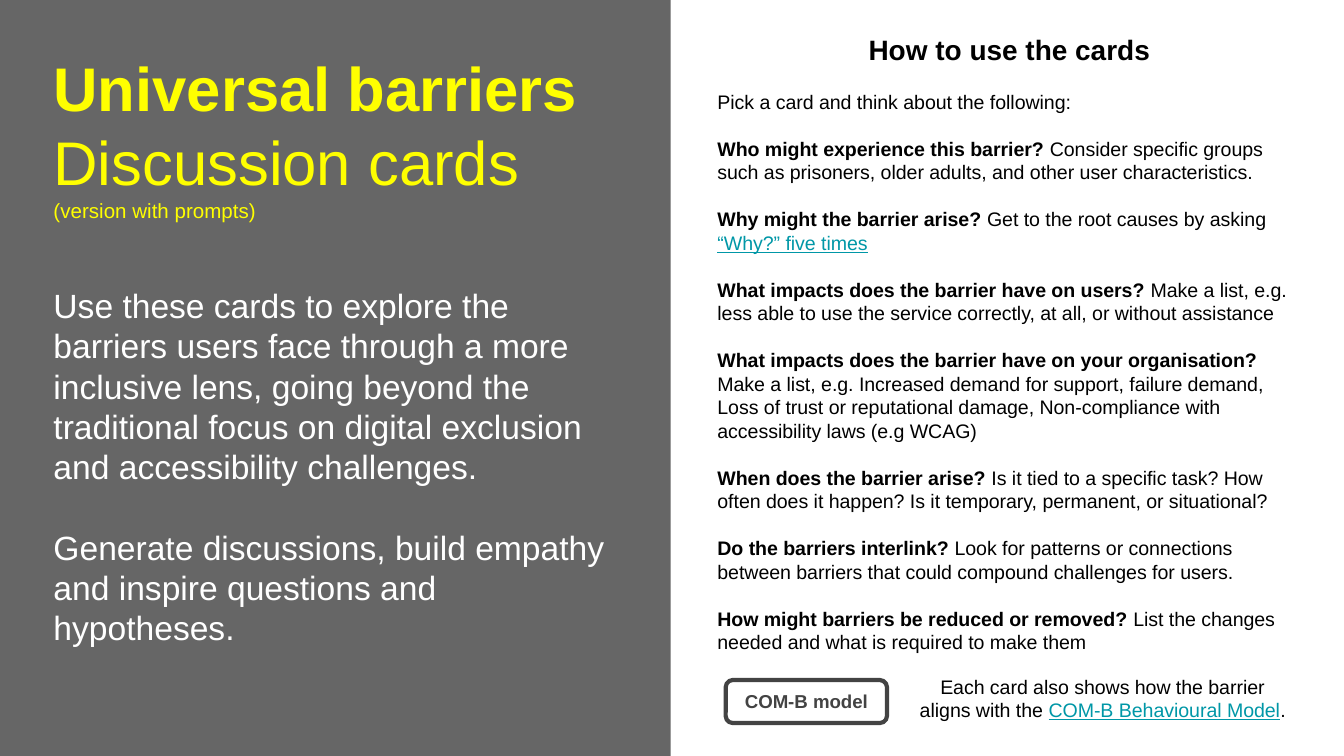
from typing import NamedTuple

from pptx import Presentation
from pptx.dml.color import RGBColor
from pptx.enum.shapes import MSO_SHAPE as Preset
from pptx.enum.text import MSO_ANCHOR as Anchor, PP_ALIGN as Align
from pptx.util import Inches, Pt

BLACK = RGBColor(0x00, 0x00, 0x00)
WHITE = RGBColor(0xFF, 0xFF, 0xFF)
YELLOW = RGBColor(0xFF, 0xFF, 0x00)
PANEL_GREY = RGBColor(0x66, 0x66, 0x66)
BADGE_GREY = RGBColor(0x43, 0x43, 0x43)
LINK_TEAL = RGBColor(0x00, 0x97, 0xA7)

SLIDE_WIDTH = 10
SLIDE_HEIGHT = SLIDE_WIDTH * 9 / 16
FONT = "Arial"
BODY_SIZE = 10.5
BODY_GAP = 12.6
INTRO_SIZE = 18
INTRO_GAP = 21.5


class Box(NamedTuple):
    left: float
    top: float
    width: float
    height: float

    def lengths(self) -> list:
        return [Inches(value) for value in self]


class Run(NamedTuple):
    text: str
    bold: bool = False
    link: bool = False


class Prompt(NamedTuple):
    question: str
    advice: str
    link: str = ""

    def runs(self) -> list[Run]:
        runs = [Run(self.question, bold=True), Run(self.advice)]
        return runs + [Run(self.link, link=True)] if self.link else runs


PROMPTS = [
    Prompt("Who might experience this barrier? ",
           "Consider specific groups such as prisoners, older adults, and other user characteristics."),
    Prompt("Why might the barrier arise? ",
           "Get to the root causes by asking ", "“Why?” five times"),
    Prompt("What impacts does the barrier have on users?",
           " Make a list, e.g. less able to use the service correctly, at all, or without assistance"),
    Prompt("What impacts does the barrier have on your organisation? ",
           "Make a list, e.g. Increased demand for support, failure demand, Loss of trust or "
           "reputational damage, Non-compliance with accessibility laws (e.g WCAG)"),
    Prompt("When does the barrier arise? ",
           "Is it tied to a specific task? How often does it happen? "
           "Is it temporary, permanent, or situational?"),
    Prompt("Do the barriers interlink? ",
           "Look for patterns or connections between barriers that could compound challenges for users."),
    Prompt("How might barriers be reduced or removed? ",
           "List the changes needed and what is required to make them"),
]


def add_frame(shape, *, anchor=Anchor.TOP, bottom: float = 0.1):
    frame = shape.text_frame
    frame.word_wrap = True
    frame.vertical_anchor = anchor
    frame.margin_left = frame.margin_right = frame.margin_top = Inches(0.1)
    frame.margin_bottom = Inches(bottom)
    return frame


def write(frame, runs: list[Run], *, size: float, color: RGBColor = BLACK,
          align=Align.LEFT, before: float = 0) -> None:
    paragraph = frame.paragraphs[0]
    if paragraph.runs:
        paragraph = frame.add_paragraph()
    paragraph.alignment = align
    paragraph.space_before = Pt(before)
    for item in runs:
        run = paragraph.add_run()
        run.text = item.text
        run.font.name = FONT
        run.font.size = Pt(size)
        run.font.bold = item.bold
        run.font.underline = item.link
        run.font.color.rgb = LINK_TEAL if item.link else color


def add_block(slide, preset, box: Box, fill: RGBColor):
    shape = slide.shapes.add_shape(preset, *box.lengths())
    shape.shadow.inherit = False
    shape.fill.solid()
    shape.fill.fore_color.rgb = fill
    shape.line.fill.background()
    return shape


def add_text(slide, box: Box, **options):
    return add_frame(slide.shapes.add_textbox(*box.lengths()), **options)


def add_instructions(slide) -> None:
    frame = add_text(slide, Box(5.24, 0, 4.54, SLIDE_HEIGHT), anchor=Anchor.MIDDLE, bottom=0.62)
    write(frame, [Run("How to use the cards", bold=True)], size=15, align=Align.CENTER)
    opening = [Run("Pick a card and think about the following:")]
    for runs in [opening, *(prompt.runs() for prompt in PROMPTS)]:
        write(frame, runs, size=BODY_SIZE, before=BODY_GAP)


def add_cover(slide) -> None:
    add_block(slide, Preset.RECTANGLE, Box(-0.01, -0.02, 5, 5.65), PANEL_GREY)

    title = add_text(slide, Box(0.3, 0.27, 4.2, 1.5))
    write(title, [Run("Universal barriers ", bold=True), Run("Discussion cards")],
          size=33, color=YELLOW)
    write(title, [Run("(version with prompts)")], size=11, color=YELLOW)

    intro = add_text(slide, Box(0.3, 2.02, 4.33, 2.93))
    write(intro, [Run("Use these cards to explore the barriers users face through a more "
                      "inclusive lens, going beyond the traditional focus on digital "
                      "exclusion and accessibility challenges.")],
          size=INTRO_SIZE, color=WHITE)
    write(intro, [Run("Generate discussions, build empathy and inspire questions and hypotheses.")],
          size=INTRO_SIZE, color=WHITE, before=INTRO_GAP)


def add_model_note(slide) -> None:
    badge = add_block(slide, Preset.ROUNDED_RECTANGLE, Box(5.4, 5.06, 1.2, 0.32), WHITE)
    badge.adjustments[0] = 0.167
    badge.line.color.rgb = BADGE_GREY
    badge.line.width = Pt(2.25)
    write(add_frame(badge, anchor=Anchor.MIDDLE), [Run("COM-B model", bold=True)],
          size=10, color=BADGE_GREY, align=Align.CENTER)

    note = add_text(slide, Box(6.71, 4.92, 2.99, 0.56))
    write(note, [Run("Each card also shows how the barrier aligns with the "),
                 Run("COM-B Behavioural Model", link=True), Run(".")],
          size=BODY_SIZE, align=Align.CENTER)


def main() -> None:
    presentation = Presentation()
    presentation.slide_width = Inches(SLIDE_WIDTH)
    presentation.slide_height = Inches(SLIDE_HEIGHT)
    slide = presentation.slides.add_slide(presentation.slide_layouts[6])
    add_instructions(slide)
    add_cover(slide)
    add_model_note(slide)
    presentation.save("out.pptx")


if __name__ == "__main__":
    main()
